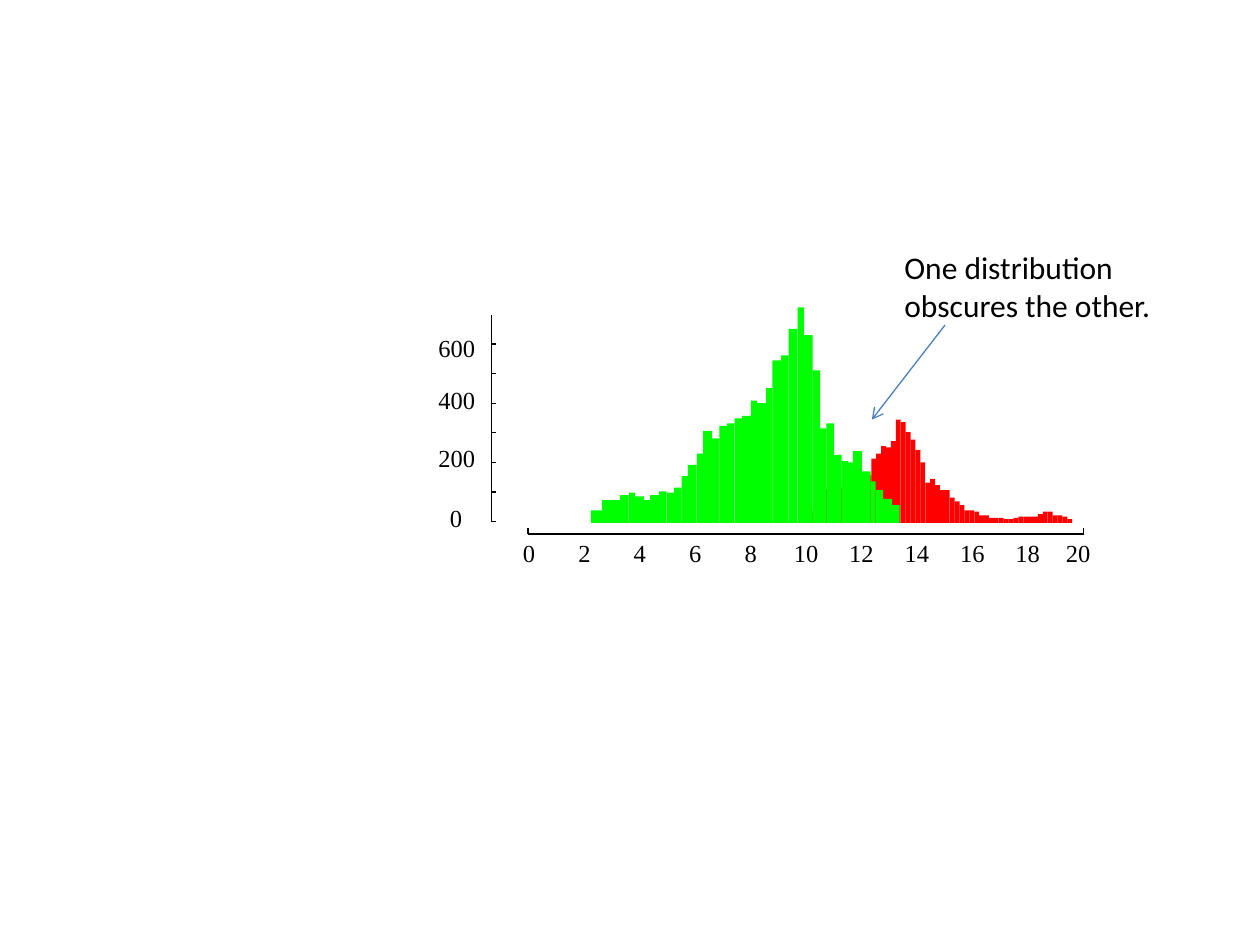
from dataclasses import dataclass

from lxml import etree
from pptx import Presentation
from pptx.dml.color import RGBColor
from pptx.enum import shapes, text
from pptx.oxml import ns
from pptx.util import Inches, Pt


@dataclass(frozen=True)
class Theme:
    ink: str = "000000"
    front: str = "00FF00"
    back: str = "FF0000"
    arrow: str = "4B7EBC"
    note_font: str = "Calibri"
    note_size: int = 18
    axis_font: str = "Times New Roman"
    axis_size: int = 14


THEME = Theme()
BASELINE = 4.15

# Bar heights of the rear histogram, in hundredths of an inch, evenly spaced
BACK_LEFT, BACK_RIGHT = 6.41, 8.51
BACK_HEIGHTS = [
    9, 13, 19, 27, 26, 28, 28, 25, 28, 32, 35, 39, 38, 51, 55, 61, 60, 65,
    82, 80, 72, 66, 58, 48, 32, 35, 30, 26, 26, 20, 17, 14, 10, 10, 9, 6,
    6, 4, 4, 4, 3, 3, 4, 5, 5, 5, 5, 7, 9, 9, 6, 6, 5, 3,
]

# Left edge and top of each bar of the front histogram, whose bins are uneven
FRONT_RIGHT = 7.14
FRONT_BARS = [
    (4.69, 4.05), (4.78, 3.97), (4.92, 3.93), (4.99, 3.91), (5.04, 3.94),
    (5.11, 3.97), (5.16, 3.93), (5.23, 3.9), (5.29, 3.91), (5.35, 3.87),
    (5.41, 3.78), (5.46, 3.69), (5.53, 3.6), (5.58, 3.42), (5.65, 3.48),
    (5.71, 3.38), (5.77, 3.36), (5.83, 3.32), (5.89, 3.3), (5.96, 3.18),
    (6.01, 3.2), (6.08, 3.08), (6.13, 2.86), (6.2, 2.82), (6.26, 2.61),
    (6.33, 2.44), (6.38, 2.66), (6.45, 2.94), (6.51, 3.4), (6.56, 3.36),
    (6.62, 3.61), (6.68, 3.66), (6.73, 3.67), (6.77, 3.58), (6.84, 3.74),
    (6.91, 3.82), (6.95, 3.89), (7.01, 3.96), (7.08, 4.01),
]


def add_text(slide, content, left, top, width, height, *, font, size,
             color=THEME.ink, wrap=False, inset=True):
    box = slide.shapes.add_textbox(*map(Inches, (left, top, width, height)))
    frame = box.text_frame
    frame.word_wrap = wrap
    frame.auto_size = text.MSO_AUTO_SIZE.SHAPE_TO_FIT_TEXT
    if not inset:
        frame.margin_left = frame.margin_right = 0
        frame.margin_top = frame.margin_bottom = 0
    run = frame.paragraphs[0].add_run()
    run.text = content
    run.font.name = font
    run.font.size = Pt(size)
    run.font.color.rgb = RGBColor.from_string(color)


def add_axis_label(slide, content, center, top):
    width = 0.1 * len(content)
    add_text(slide, content, center - width / 2, top, width, 0.24,
             font=THEME.axis_font, size=THEME.axis_size, inset=False)


def add_line(slide, start, end, *, color=THEME.ink, width=0.75, arrow=False):
    line = slide.shapes.add_connector(
        shapes.MSO_CONNECTOR.STRAIGHT, *map(Inches, (*start, *end)))
    line.line.color.rgb = RGBColor.from_string(color)
    line.line.width = Pt(width)
    properties = line._element.spPr
    if arrow:
        outline = line.line._get_or_add_ln()
        etree.SubElement(outline, ns.qn("a:tailEnd"), type="arrow")
    etree.SubElement(properties, ns.qn("a:effectLst"))


def add_histogram(slide, edges, tops, color):
    """Draw one bar between each pair of neighbouring edges."""
    group = slide.shapes.add_group_shape()
    for left, right, top in zip(edges, edges[1:], tops):
        bar = group.shapes.add_shape(
            shapes.MSO_SHAPE.RECTANGLE,
            *map(Inches, (left, top, right - left, BASELINE - top)))
        bar.shadow.inherit = False
        bar.fill.solid()
        bar.fill.fore_color.rgb = RGBColor.from_string(color)
        bar.line.fill.background()


def add_count_axis(slide):
    left, bottom, step = 3.9, 4.14, 0.235
    add_line(slide, (left, 2.5), (left, bottom))
    for index in range(7):
        y = bottom - index * step
        add_line(slide, (left, y), (left + 0.04, y))
    for label, center, top in (("0", 3.62, 3.99), ("200", 3.63, 3.52),
                               ("400", 3.63, 3.06), ("600", 3.63, 2.64)):
        add_axis_label(slide, label, center, top)


def add_value_axis(slide):
    left, right, y = 4.19, 8.6, 4.24
    add_line(slide, (left, y), (right, y), width=1.25)
    for x in (left, right):
        add_line(slide, (x, y - 0.05), (x, y))
    for index in range(10):
        add_axis_label(slide, str(2 * index), 4.2 + 0.44 * index, 4.27)
    # The last label is pulled in from the end of the axis
    add_axis_label(slide, "20", 8.56, 4.27)


def main():
    presentation = Presentation()
    presentation.slide_width, presentation.slide_height = Inches(10), Inches(7.5)
    slide = presentation.slides.add_slide(presentation.slide_layouts[6])

    # Axes
    add_count_axis(slide)
    add_value_axis(slide)

    # Overlapping distributions
    count = len(BACK_HEIGHTS)
    pitch = (BACK_RIGHT - BACK_LEFT) / count
    back_edges = [BACK_LEFT + index * pitch for index in range(count + 1)]
    back_tops = [BASELINE - height / 100 for height in BACK_HEIGHTS]
    add_histogram(slide, back_edges, back_tops, THEME.back)

    front_edges = [left for left, _ in FRONT_BARS] + [FRONT_RIGHT]
    front_tops = [top for _, top in FRONT_BARS]
    add_histogram(slide, front_edges, front_tops, THEME.front)

    # Annotation
    add_text(slide, "One distribution obscures the other.", 7.08, 1.92, 2.5, 0.71,
             font=THEME.note_font, size=THEME.note_size, wrap=True)
    add_line(slide, (7.5, 2.58), (6.92, 3.33), color=THEME.arrow, arrow=True)

    presentation.save("out.pptx")


if __name__ == "__main__":
    main()
